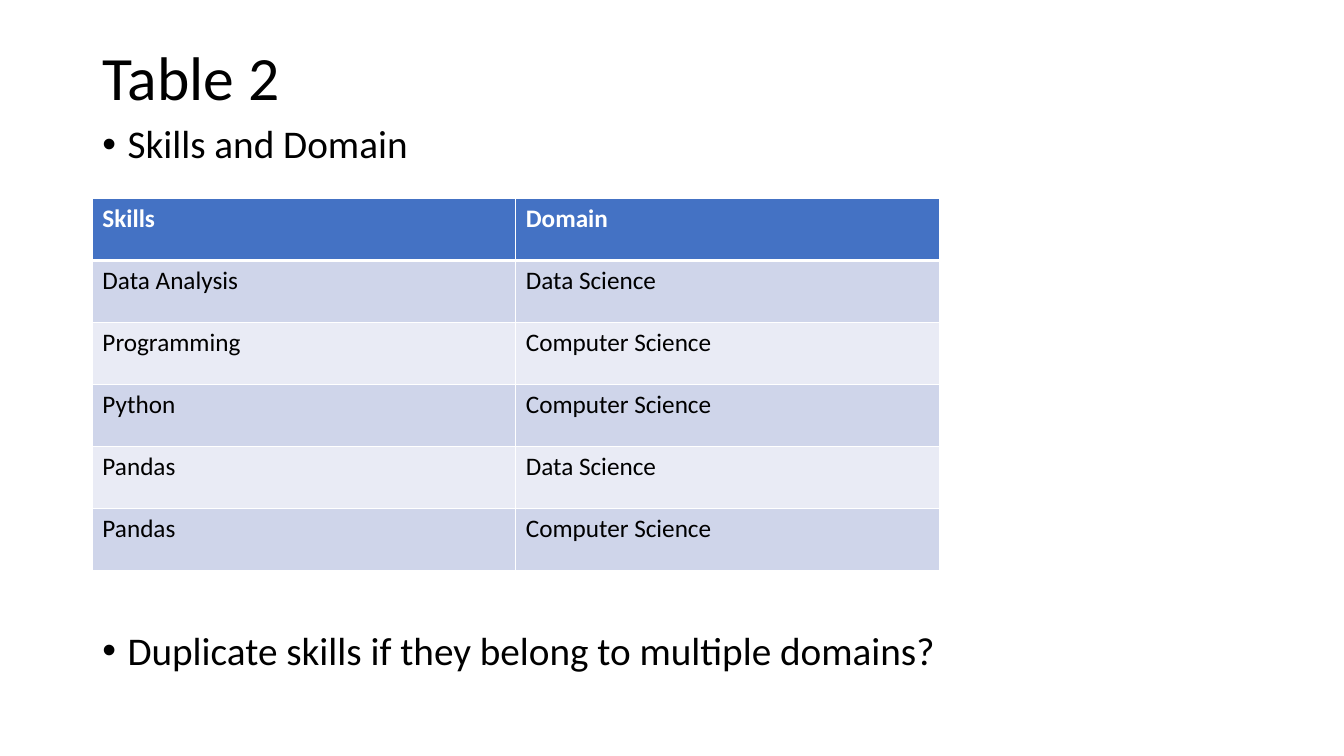
from dataclasses import dataclass
from typing import NamedTuple

from lxml import etree
from pptx import Presentation
from pptx.dml.color import RGBColor
from pptx.enum.text import MSO_ANCHOR
from pptx.oxml.ns import qn
from pptx.util import Emu, Inches, Pt

TOP, MIDDLE = MSO_ANCHOR.TOP, MSO_ANCHOR.MIDDLE


@dataclass(frozen=True)
class Theme:
    font: str = "Calibri"
    ink: str = "000000"
    white: str = "FFFFFF"
    head: str = "4472C4"
    bands: tuple[str, str] = ("CFD5EA", "E9EBF5")
    title: int = 44
    body: int = 28
    cell: int = 18
    thin: int = 1
    thick: int = 3


class Line(NamedTuple):
    text: str
    size: int
    bullet: bool = False
    before: float = 0


class Box(NamedTuple):
    left: float
    top: float
    width: float
    height: float
    anchor: MSO_ANCHOR
    lines: list[Line]


THEME = Theme()

# Slide and its grid of 160 columns and 150 rows
deck = Presentation()
deck.slide_width, deck.slide_height = Inches(13.33), Inches(7.5)
slide = deck.slides.add_slide(deck.slide_layouts[6])


def col(count: float) -> Emu:
    return Emu(int(deck.slide_width * count / 160))


def row(count: float) -> Emu:
    return Emu(int(deck.slide_height * count / 150))


def style(para, size: int, color: str, bold: bool = False) -> None:
    for run in para.runs:
        font = run.font
        font.name, font.size, font.bold = THEME.font, Pt(size), bold
        font.color.rgb = RGBColor.from_string(color)


def add_bullet(para) -> None:
    props = para._p.get_or_add_pPr()
    props.set("marL", str(Inches(0.25)))
    props.set("indent", str(-Inches(0.25)))
    etree.SubElement(props, qn("a:buFont"), typeface="Arial")
    etree.SubElement(props, qn("a:buChar"), char="•")


def add_box(box: Box) -> None:
    shape = slide.shapes.add_textbox(
        col(box.left), row(box.top), col(box.width), row(box.height))
    frame = shape.text_frame
    frame.word_wrap, frame.vertical_anchor = True, box.anchor
    frame.text = "\n".join(line.text for line in box.lines)
    for para, line in zip(frame.paragraphs, box.lines):
        para.line_spacing, para.space_before = 0.9, Pt(line.before)
        if line.bullet:
            add_bullet(para)
        style(para, line.size, THEME.ink)


def add_edge(cell, side: str, width: int) -> None:
    props = cell._tc.get_or_add_tcPr()
    edge = etree.Element(qn(f"a:{side}"), w=str(Pt(width)))
    fill = etree.SubElement(edge, qn("a:solidFill"))
    etree.SubElement(fill, qn("a:srgbClr"), val=THEME.white)
    props.insert(len(props.findall("*")) - 1, edge)


def add_grid(data: list[tuple[str, str]], left: float, top: float,
             wide: float, high: float) -> None:
    table = slide.shapes.add_table(
        len(data), len(data[0]), col(left), row(top),
        col(wide * len(data[0])), row(high * len(data))).table
    for part in table.columns:
        part.width = col(wide)
    for part in table.rows:
        part.height = row(high)
    for r, texts in enumerate(data):
        head = r == 0
        shade = THEME.head if head else THEME.bands[(r - 1) % 2]
        for c, text in enumerate(texts):
            cell = table.cell(r, c)
            cell.text = text
            cell.fill.solid()
            cell.fill.fore_color.rgb = RGBColor.from_string(shade)
            style(cell.text_frame.paragraphs[0], THEME.cell,
                  THEME.white if head else THEME.ink, head)
            add_edge(cell, "lnL", THEME.thin)
            add_edge(cell, "lnR", THEME.thin)
            add_edge(cell, "lnT", THEME.thick if r == 1 else THEME.thin)
            add_edge(cell, "lnB", THEME.thick if head else THEME.thin)


# Title and bullets; the second bullet sits below the table
BOXES = [
    Box(11, 8, 138, 15.8, MIDDLE, [Line("Table 2", THEME.title)]),
    Box(11, 23.8, 138, 111.4, TOP, [
        Line("Skills and Domain", THEME.body, True),
        Line("Duplicate skills if they belong to multiple domains?",
             THEME.body, True, 331.5),
    ]),
]
for box in BOXES:
    add_box(box)

# Skills table
SKILLS = [
    ("Skills", "Domain"),
    ("Data Analysis", "Data Science"),
    ("Programming", "Computer Science"),
    ("Python", "Computer Science"),
    ("Pandas", "Data Science"),
    ("Pandas", "Computer Science"),
]
add_grid(SKILLS, 11, 39.4, 50.4, 12.3)

deck.save("out.pptx")
